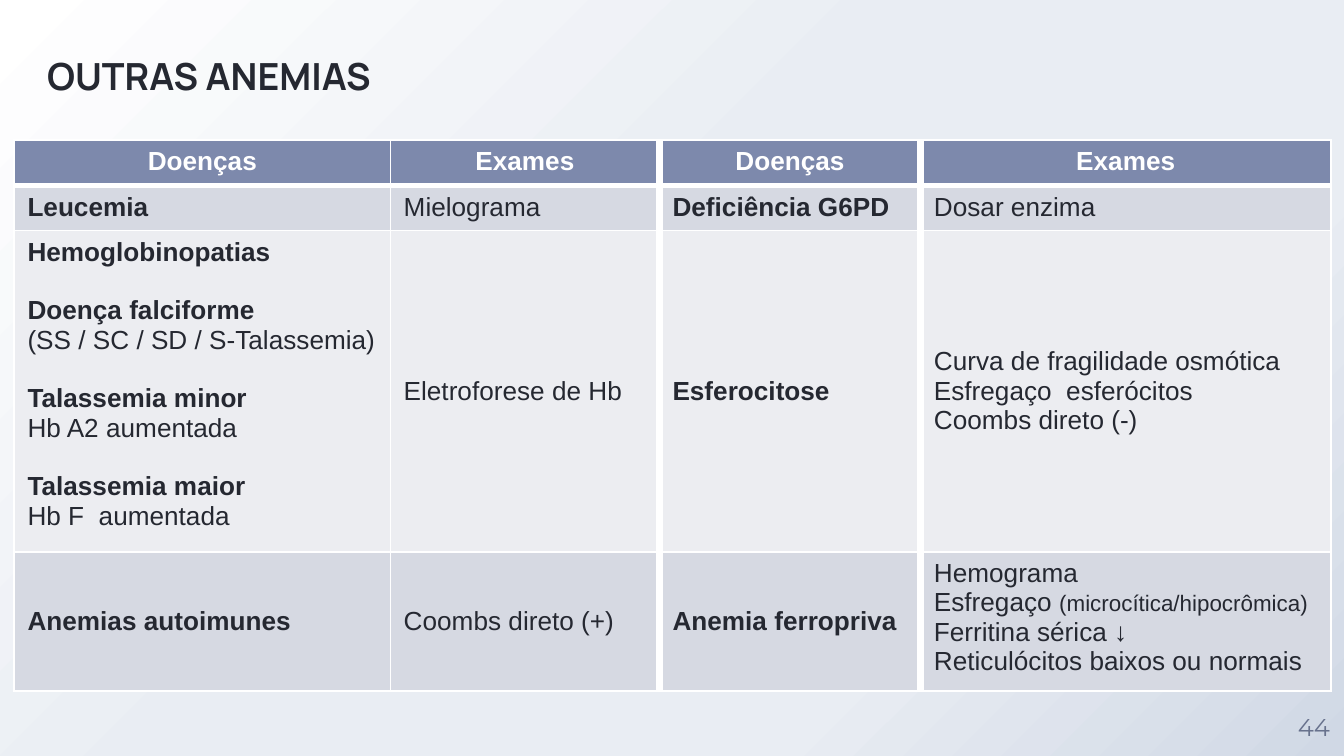
import copy
from dataclasses import dataclass

import lxml.etree
import pptx
import pptx.dml.color
import pptx.enum.text
import pptx.oxml.ns
import pptx.util

Cm = pptx.util.Cm
Pt = pptx.util.Pt
ALIGN = pptx.enum.text.PP_ALIGN
ANCHOR = pptx.enum.text.MSO_ANCHOR
qn = pptx.oxml.ns.qn

COLORS = {
    "white": "FFFFFF",
    "ink": "252831",
    "number": "68728D",
    "header": "7D89AC",
    "dark_row": "D6D9E2",
    "light_row": "ECEDF1",
    "mist": "E9EDF3",
    "steel": "D0D8E5",
}
BACKGROUND_STOPS = [(0, "white"), (0.44, "mist"), (0.72, "mist"), (1, "steel")]
COLUMN_WIDTHS = [7.11, 5.08, 4.94, 7.75]
ROW_HEIGHTS = [0.81, 0.81, 5.8, 2.54]
ROW_FILLS = ["header", "dark_row", "light_row", "dark_row"]
THIN, HEADER_RULE, COLUMN_RULE = 1, 3, 4.5
COLUMN_RULES = [THIN, THIN, COLUMN_RULE, COLUMN_RULE, THIN]
ROW_RULES = [THIN, HEADER_RULE, THIN, THIN, THIN]


@dataclass
class Line:
    text: str
    bold: bool = False
    space_before: float = 0
    small_text: str = ""


@dataclass
class Entry:
    lines: list[Line]
    anchor: ANCHOR = ANCHOR.MIDDLE
    color: str = "ink"
    align: ALIGN = ALIGN.LEFT


@dataclass
class Label:
    text: str
    left: float
    top: float
    width: float
    height: float
    font: str
    size: float
    color: str
    bold: bool
    anchor: ANCHOR
    align: ALIGN


def heading(text: str) -> Entry:
    return Entry([Line(text, True)], ANCHOR.TOP, "white", ALIGN.CENTER)


def disease(text: str, anchor: ANCHOR = ANCHOR.MIDDLE) -> Entry:
    return Entry([Line(text, True)], anchor)


def exams(*texts: str, anchor: ANCHOR = ANCHOR.MIDDLE) -> Entry:
    return Entry([Line(text) for text in texts], anchor)


GROUP_GAP = 15.7
HEMOGLOBIN_DISEASES = Entry([
    Line("Hemoglobinopatias", True),
    Line("Doença falciforme", True, GROUP_GAP),
    Line("(SS / SC / SD / S-Talassemia)"),
    Line("Talassemia minor", True, GROUP_GAP),
    Line("Hb A2 aumentada"),
    Line("Talassemia maior", True, GROUP_GAP),
    Line("Hb F  aumentada"),
], ANCHOR.TOP)
IRON_EXAMS = Entry([
    Line("Hemograma"),
    Line("Esfregaço ", small_text="(microcítica/hipocrômica)"),
    Line("Ferritina sérica ↓"),
    Line("Reticulócitos baixos ou normais"),
], ANCHOR.TOP)
ROWS = [
    [heading(text) for text in ["Doenças", "Exames"] * 2],
    [disease("Leucemia", ANCHOR.TOP), exams("Mielograma", anchor=ANCHOR.TOP),
     disease("Deficiência G6PD", ANCHOR.TOP), exams("Dosar enzima", anchor=ANCHOR.TOP)],
    [HEMOGLOBIN_DISEASES, exams("Eletroforese de Hb"), disease("Esferocitose"),
     exams("Curva de fragilidade osmótica", "Esfregaço  esferócitos", "Coombs direto (-)")],
    [disease("Anemias autoimunes"), exams("Coombs direto (+)"),
     disease("Anemia ferropriva"), IRON_EXAMS],
]
LABELS = [
    Label("OUTRAS ANEMIAS", 0.89, 0.79, 9.96, 1.07, "Manrope", 20, "ink", True,
          ANCHOR.BOTTOM, ALIGN.LEFT),
    Label("44", 24.26, 13.16, 1.14, 1.14, "Montserrat", 13, "number", False,
          ANCHOR.MIDDLE, ALIGN.CENTER),
]


def rgb(name: str) -> pptx.dml.color.RGBColor:
    return pptx.dml.color.RGBColor.from_string(COLORS[name])


def paint_background(slide) -> None:
    fill = slide.background.fill
    fill.gradient()
    fill.gradient_angle = 315
    stop_list = next(slide.element.iter(qn("a:gsLst")))
    for _ in BACKGROUND_STOPS[2:]:
        stop_list.append(copy.deepcopy(stop_list[0]))
    for stop, (position, color) in zip(fill.gradient_stops, BACKGROUND_STOPS):
        stop.position = position
        stop.color.rgb = rgb(color)


def style_font(font, name: str, size: float, color: str, bold: bool) -> None:
    font.name = name
    font.size = Pt(size)
    font.bold = bold
    font.color.rgb = rgb(color)


def draw_label(slide, label: Label) -> None:
    shape = slide.shapes.add_textbox(
        Cm(label.left), Cm(label.top), Cm(label.width), Cm(label.height))
    frame = shape.text_frame
    frame.word_wrap = True
    frame.vertical_anchor = label.anchor
    frame.margin_left = frame.margin_right = frame.margin_top = frame.margin_bottom = 0
    paragraph = frame.paragraphs[0]
    paragraph.text = label.text
    paragraph.alignment = label.align
    style_font(paragraph.font, label.font, label.size, label.color, label.bold)


def add_border(cell, side: str, width: float) -> None:
    properties = cell._tc.get_or_add_tcPr()
    line = lxml.etree.SubElement(properties, qn(f"a:ln{side}"), w=str(Pt(width)))
    solid = lxml.etree.SubElement(line, qn("a:solidFill"))
    lxml.etree.SubElement(solid, qn("a:srgbClr"), val=COLORS["white"])


def fill_cell(cell, entry: Entry) -> None:
    cell.vertical_anchor = entry.anchor
    cell.margin_left = cell.margin_right = Cm(0.25)
    cell.margin_top = cell.margin_bottom = Cm(0.13)
    frame = cell.text_frame
    for index, line in enumerate(entry.lines):
        paragraph = frame.add_paragraph() if index else frame.paragraphs[0]
        paragraph.alignment = entry.align
        paragraph.add_run().text = line.text
        if line.space_before:
            paragraph.space_before = Pt(line.space_before)
        if line.small_text:
            run = paragraph.add_run()
            run.text = line.small_text
            run.font.size = Pt(12)
        style_font(paragraph.font, "Arial", 14, entry.color, line.bold)


def draw_table(slide) -> None:
    table = slide.shapes.add_table(
        len(ROWS), len(COLUMN_WIDTHS), Cm(0.27), Cm(2.65),
        Cm(sum(COLUMN_WIDTHS)), Cm(sum(ROW_HEIGHTS))).table
    table.horz_banding = False
    for column, width in zip(table.columns, COLUMN_WIDTHS):
        column.width = Cm(width)
    for row, height in zip(table.rows, ROW_HEIGHTS):
        row.height = Cm(height)
    for y, entries in enumerate(ROWS):
        for x, entry in enumerate(entries):
            cell = table.cell(y, x)
            fill_cell(cell, entry)
            add_border(cell, "L", COLUMN_RULES[x])
            add_border(cell, "R", COLUMN_RULES[x + 1])
            add_border(cell, "T", ROW_RULES[y])
            add_border(cell, "B", ROW_RULES[y + 1])
            cell.fill.solid()
            cell.fill.fore_color.rgb = rgb(ROW_FILLS[y])


def main() -> None:
    presentation = pptx.Presentation()
    presentation.slide_width = Cm(25.4)
    presentation.slide_height = Cm(14.29)
    slide = presentation.slides.add_slide(presentation.slide_layouts[6])
    paint_background(slide)
    for label in LABELS:
        draw_label(slide, label)
    draw_table(slide)
    presentation.save("out.pptx")


if __name__ == "__main__":
    main()
